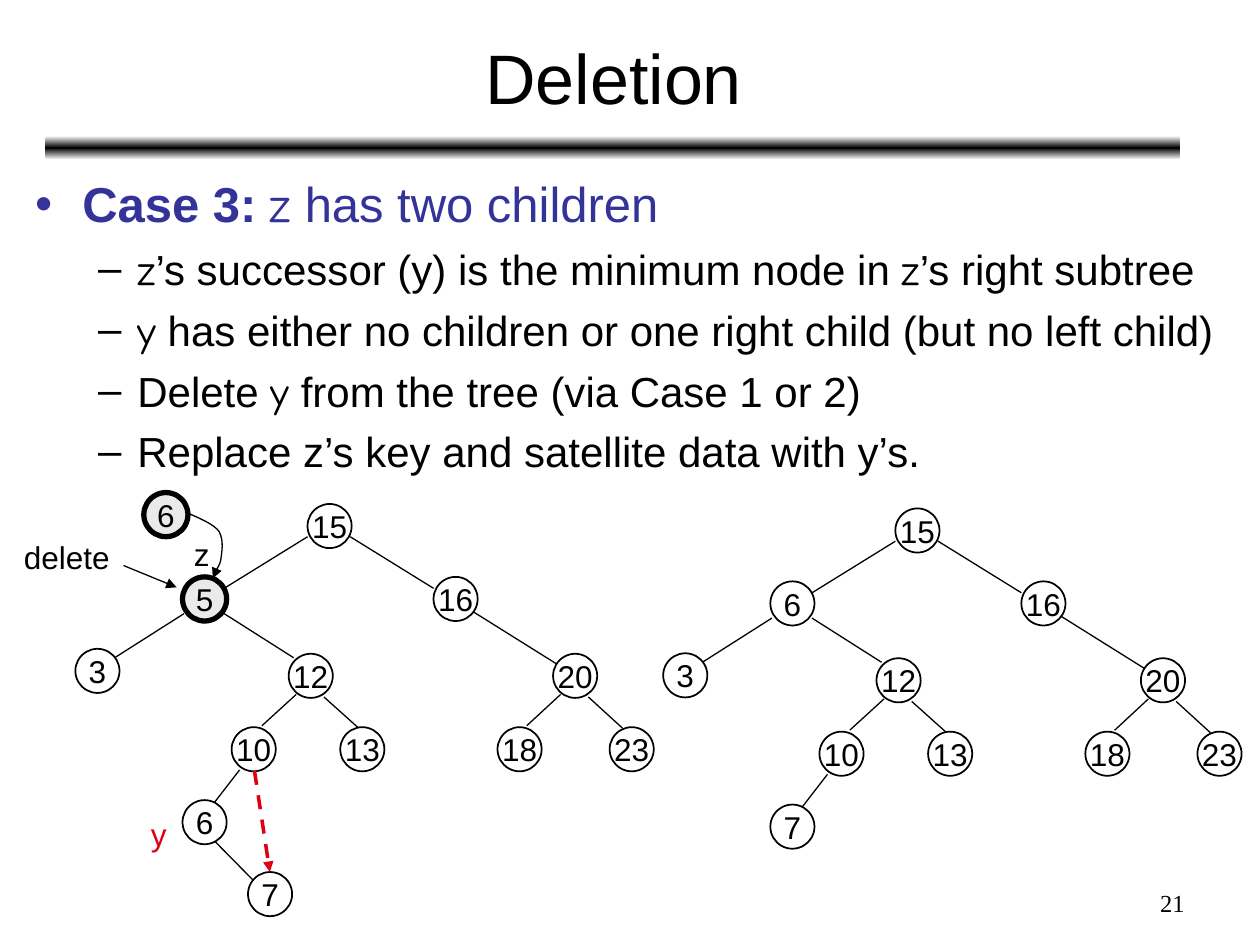
"""Build a slide on deleting a tree node that has two children."""
import copy
from dataclasses import dataclass

import pptx
import pptx.dml.color
import pptx.enum.dml
import pptx.enum.shapes
import pptx.enum.text
import pptx.oxml
import pptx.oxml.ns
import pptx.util

Cm, Pt = pptx.util.Cm, pptx.util.Pt
Align, Anchor = pptx.enum.text.PP_ALIGN, pptx.enum.text.MSO_ANCHOR
Kind = pptx.enum.shapes.MSO_SHAPE
qn = pptx.oxml.ns.qn


@dataclass(frozen=True)
class Theme:
    black: str = "000000"
    white: str = "FFFFFF"
    blue: str = "333399"
    red: str = "DD0111"
    gray: str = "EAEAEA"
    sans: str = "Arial"
    comic: str = "Comic Neue"
    serif: str = "Times New Roman"
    title: int = 40
    head: int = 28
    point: int = 24
    label: int = 18
    page: int = 14


THEME = Theme()
SIZE = 0.89
SHIFT = (11.85, 0.09)
NODES = {
    "15": (6.2, 10.16), "16": (8.74, 11.63), "20": (11.15, 13.18),
    "18": (10.03, 14.66), "23": (12.29, 14.66), "12": (5.82, 13.18),
    "3": (1.52, 13.08), "10": (4.67, 14.66), "13": (6.86, 14.66),
}
EDGES = [
    (6.2, 10.82, 4.52, 11.86), (7.06, 10.82, 8.74, 11.86),
    (9.52, 12.32, 11.23, 13.39), (11.3, 14, 10.62, 14.63),
    (11.86, 14.05, 12.55, 14.68), (3.71, 12.37, 2.31, 13.26),
    (4.52, 12.37, 5.92, 13.26), (5.97, 14, 5.28, 14.63),
    (6.53, 14.05, 7.21, 14.66), (4.83, 15.52, 4.32, 16.18),
]
TARGET = (3.68, 11.63)
CHILD = (3.68, 16.13)
CURVE = [
    (3.78, 10.34), (4.04, 10.46), (4.32, 10.57), (4.42, 10.72),
    (4.52, 10.9), (4.47, 11.15), (4.45, 11.3),
    (4.42, 11.46), (4.24, 11.61), (4.29, 11.66),
]
POINTS = [
    [("z", True), ("’s successor (y) is the minimum node in ", False),
     ("z", True), ("’s right subtree", False)],
    [("y", True),
     (" has either no children or one right child (but no left child)", False)],
    [("Delete ", False), ("y", True),
     (" from the tree (via Case 1 or 2)", False)],
    [("Replace z’s key and satellite data with y’s.", False)],
]


def rgb(code):
    return pptx.dml.color.RGBColor.from_string(code)


def write(par, text, size=THEME.label, color=THEME.black, font=THEME.sans,
          bold=False, align=None):
    run = par.add_run()
    run.text = text
    run.font.size, run.font.name, run.font.bold = Pt(size), font, bold
    run.font.color.rgb = rgb(color)
    if align is not None:
        par.alignment = align


def add_box(shapes, left, top, width, height, wrap=False):
    frame = shapes.add_textbox(
        Cm(left), Cm(top), Cm(width), Cm(height)).text_frame
    frame.word_wrap = wrap
    return frame


def add_label(shapes, text, left, top, width, **style):
    frame = add_box(shapes, left, top, width, 1.02)
    write(frame.paragraphs[0], text, **style)


def add_node(shapes, text, spot, marked=False):
    left, top = spot
    node = shapes.add_shape(Kind.OVAL, Cm(left), Cm(top), Cm(SIZE), Cm(SIZE))
    node.shadow.inherit = False
    node.fill.solid()
    node.fill.fore_color.rgb = rgb(THEME.gray if marked else THEME.white)
    node.line.color.rgb = rgb(THEME.black)
    node.line.width = Pt(3 if marked else 1)
    frame = node.text_frame
    frame.word_wrap = False
    frame.vertical_anchor = Anchor.MIDDLE
    write(frame.paragraphs[0], text, align=Align.CENTER)


def add_head(shape):
    line = shape.line._get_or_add_ln()
    line.append(pptx.oxml.parse_xml(
        f'<a:tailEnd {pptx.oxml.ns.nsdecls("a")} type="triangle"/>'))


def add_line(shapes, ends, color=THEME.black, width=0.75, dash=False,
             head=False):
    line = shapes.add_connector(
        pptx.enum.shapes.MSO_CONNECTOR.STRAIGHT, *map(Cm, ends))
    line.line.color.rgb = rgb(color)
    line.line.width = Pt(width)
    if dash:
        line.line.dash_style = pptx.enum.dml.MSO_LINE.DASH
    if head:
        add_head(line)
    line._element.spPr.append(pptx.oxml.parse_xml(
        f'<a:effectLst {pptx.oxml.ns.nsdecls("a")}/>'))


def add_curve(shapes, knots, steps=8):
    spots = []
    for first in range(0, len(knots) - 1, 3):
        part = knots[first:first + 4]
        for step in range(1, steps + 1):
            t = step / steps
            rates = ((1 - t) ** 3, 3 * t * (1 - t) ** 2,
                     3 * t * t * (1 - t), t ** 3)
            spots.append(tuple(
                Cm(sum(r * k[axis] for r, k in zip(rates, part)))
                for axis in (0, 1)))
    draft = shapes.build_freeform(*map(Cm, knots[0]))
    draft.add_line_segments(spots, close=False)
    curve = draft.convert_to_shape()
    curve.shadow.inherit = False
    curve.fill.background()
    curve.line.color.rgb = rgb(THEME.black)
    curve.line.width = Pt(0.75)
    add_head(curve)


def add_tree(shapes, extra, shift=(0, 0)):
    dx, dy = shift
    for x1, y1, x2, y2 in EDGES:
        add_line(shapes, (x1 + dx, y1 + dy, x2 + dx, y2 + dy))
    for text, (left, top) in [*NODES.items(), *extra]:
        add_node(shapes, text, (left + dx, top + dy))


def add_rule(shapes):
    rule = shapes.add_shape(
        Kind.ROUNDED_RECTANGLE, Cm(0.91), Cm(2.74), Cm(22.89), Cm(0.48))
    rule.shadow.inherit = False
    rule.line.fill.background()
    rule.fill.gradient()
    rule.fill.gradient_angle = 90
    stops = rule._element.spPr.find(".//" + qn("a:gsLst"))
    stops.append(copy.deepcopy(stops[0]))
    shades = (THEME.white, THEME.black, THEME.white)
    for index, (stop, shade) in enumerate(zip(rule.fill.gradient_stops, shades)):
        stop.position = index / 2
        stop.color.rgb = rgb(shade)


def add_point(par, mark, color, left, hang):
    props = par._p.get_or_add_pPr()
    props.set("marL", str(Cm(left)))
    props.set("indent", str(-Cm(hang)))
    space = pptx.oxml.ns.nsdecls("a")
    for tag in (f'<a:buClr {space}><a:srgbClr val="{color}"/></a:buClr>',
                f'<a:buFont {space} typeface="{THEME.sans}"/>',
                f'<a:buChar {space} char="{mark}"/>'):
        props.append(pptx.oxml.parse_xml(tag))


def add_body(shapes):
    frame = add_box(shapes, 0.46, 3.38, 24.41, 14.1, wrap=True)
    par = frame.paragraphs[0]
    add_point(par, "•", THEME.blue, 0.95, 0.95)
    style = {"size": THEME.head, "color": THEME.blue}
    write(par, "Case 3: ", bold=True, **style)
    write(par, "z", font=THEME.comic, **style)
    write(par, " has two children", **style)
    for point in POINTS:
        par = frame.add_paragraph()
        add_point(par, "–", THEME.black, 2.06, 0.79)
        par.space_before = Pt(6)
        for text, comic in point:
            write(par, text, size=THEME.point,
                  font=THEME.comic if comic else THEME.sans)


def main():
    deck = pptx.Presentation()
    deck.slide_width, deck.slide_height = Cm(25.4), Cm(19.05)
    shapes = deck.slides.add_slide(deck.slide_layouts[6]).shapes
    add_rule(shapes)
    title = add_box(shapes, 0.94, 0.28, 22.86, 2.51, wrap=True)
    title.vertical_anchor = Anchor.MIDDLE
    write(title.paragraphs[0], "Deletion", size=THEME.title,
          align=Align.CENTER)
    add_body(shapes)

    left = shapes.add_group_shape().shapes
    add_line(left, (4.34, 16.97, 5.11, 17.75))
    add_tree(left, [("6", CHILD), ("7", (5, 17.58))])
    add_node(left, "5", TARGET, marked=True)
    add_label(left, "delete", 0.23, 10.72, 2.24)
    add_label(left, "z", 3.66, 10.67, 0.81)
    add_line(left, (2.49, 11.4, 3.56, 11.84), head=True)
    add_label(shapes, "y", 2.79, 16.31, 0.81, color=THEME.red)
    add_line(shapes, (5.13, 15.54, 5.44, 17.58), color=THEME.red, width=2,
             dash=True, head=True)

    right = shapes.add_group_shape().shapes
    add_tree(right, [("6", TARGET), ("7", CHILD)], SHIFT)
    swap = shapes.add_group_shape().shapes
    add_node(swap, "6", (2.9, 9.93), marked=True)
    add_curve(swap, CURVE)

    page = add_box(shapes, 18.21, 17.78, 5.92, 0.89, wrap=True)
    write(page.paragraphs[0], "21", size=THEME.page, font=THEME.serif,
          align=Align.RIGHT)
    deck.save("out.pptx")


if __name__ == "__main__":
    main()
